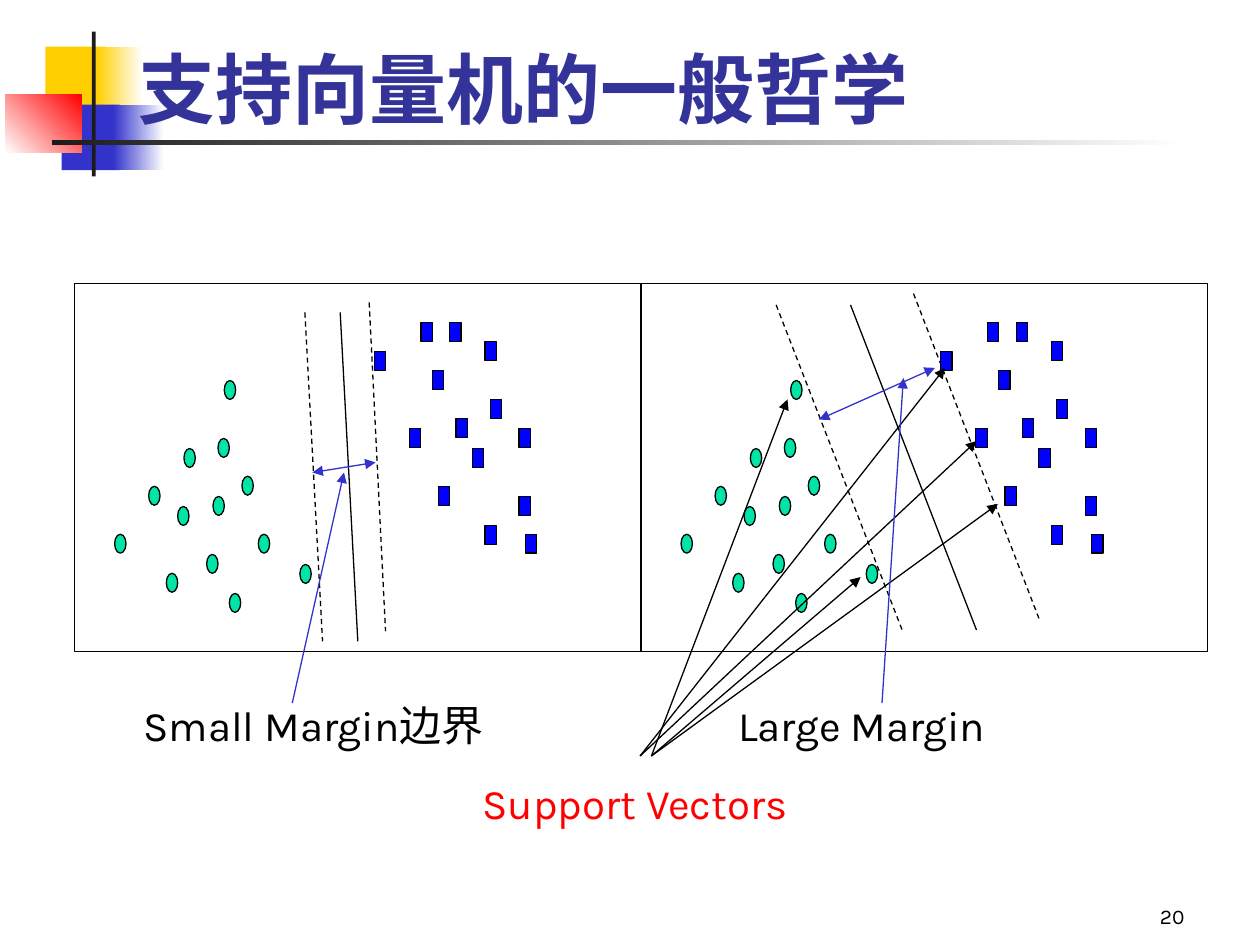
"""Build a slide comparing small and large margins of a support vector machine."""
from lxml.etree import SubElement
from pptx import Presentation
from pptx.dml.color import RGBColor
from pptx.enum.dml import MSO_LINE
from pptx.enum.shapes import MSO_CONNECTOR, MSO_SHAPE
from pptx.enum.text import MSO_ANCHOR, MSO_AUTO_SIZE, PP_ALIGN
from pptx.oxml.ns import qn
from pptx.util import Inches, Pt

BLACK = RGBColor(0x00, 0x00, 0x00)
WHITE = RGBColor(0xFF, 0xFF, 0xFF)
RED = RGBColor(0xFF, 0x00, 0x00)
YELLOW = RGBColor(0xFF, 0xCF, 0x01)
INDIGO = RGBColor(0x33, 0x33, 0xCC)
NAVY = RGBColor(0x33, 0x33, 0x99)
DARK = RGBColor(0x1C, 0x1C, 0x1C)
GREEN = RGBColor(0x00, 0xE4, 0xA8)
BLUE = RGBColor(0x00, 0x00, 0xFF)

prs = Presentation()
prs.slide_width, prs.slide_height = Inches(10), Inches(7.5)
s = prs.slides.add_slide(prs.slide_layouts[6])


def add_text(text, x, y, w, h, size=24, font="Karla", color=BLACK, bold=False,
             align=PP_ALIGN.LEFT, anchor=MSO_ANCHOR.TOP, wrap=False):
    tf = s.shapes.add_textbox(Inches(x), Inches(y), Inches(w), Inches(h)).text_frame
    tf.word_wrap = wrap
    tf.auto_size = MSO_AUTO_SIZE.NONE if wrap else MSO_AUTO_SIZE.SHAPE_TO_FIT_TEXT
    tf.vertical_anchor = anchor
    p = tf.paragraphs[0]
    p.alignment = align
    r = p.add_run()
    r.text = text
    r.font.size, r.font.name, r.font.bold = Pt(size), font, bold
    r.font.color.rgb = color


def add_line(x1, y1, x2, y2, color=BLACK, dash=False, ends=()):
    c = s.shapes.add_connector(MSO_CONNECTOR.STRAIGHT, Inches(x1), Inches(y1),
                               Inches(x2), Inches(y2))
    c.line.color.rgb = color
    c.line.width = Pt(0.75)
    if dash:
        c.line.dash_style = MSO_LINE.DASH
    spPr = c._element.spPr
    for end in ends:
        SubElement(spPr.find(qn("a:ln")), qn(f"a:{end}"), type="triangle")
    SubElement(spPr, qn("a:effectLst"))


decor = [
    (0.36, 0.37, 0.48, 0.52, YELLOW, None, 0),
    (0.77, 0.37, 0.36, 0.52, YELLOW, WHITE, 0),
    (0.49, 0.83, 0.46, 0.52, INDIGO, None, 0),
    (0.9, 0.83, 0.4, 0.52, INDIGO, WHITE, 0),
    (0.04, 0.75, 0.61, 0.46, WHITE, RED, 45),
    (0.73, 0.25, 0.03, 1.15, DARK, None, 0),
    (0.41, 1.11, 9, 0.04, DARK, WHITE, 0),
]
for x, y, w, h, start, stop, angle in decor:
    sp = s.shapes.add_shape(MSO_SHAPE.RECTANGLE, Inches(x), Inches(y), Inches(w), Inches(h))
    sp.shadow.inherit = False
    sp.line.fill.background()
    if stop is None:
        sp.fill.solid()
        sp.fill.fore_color.rgb = start
    else:
        sp.fill.gradient()
        sp.fill.gradient_angle = angle
        for gs, color in zip(sp.fill.gradient_stops, (start, stop)):
            gs.color.rgb = color

add_text("20", 7.42, 6.92, 2.08, 0.5, size=12, align=PP_ALIGN.RIGHT,
         anchor=MSO_ANCHOR.BOTTOM, wrap=True)
add_text("支持向量机的一般哲学", 1, 0.44, 9.42, 0.67, size=44, font="Times New Roman",
         color=NAVY, bold=True, anchor=MSO_ANCHOR.BOTTOM, wrap=True)

circles = [(1.32, 4.55), (1.41, 4.02), (0.91, 4.24), (1.18, 3.86), (1.64, 4.4),
           (1.46, 3.56), (1.69, 3.94), (1.73, 3.48), (1.92, 3.78), (2.05, 4.24),
           (1.82, 4.71), (2.38, 4.48), (1.78, 3.02)]
squares = [(3.25, 3.4), (2.97, 2.79), (3.34, 2.56), (3.48, 3.86), (3.43, 2.94),
           (3.62, 3.32), (3.57, 2.56), (3.85, 2.71), (3.75, 3.56), (3.89, 3.17),
           (3.85, 4.17), (4.12, 3.4), (4.12, 3.94), (4.17, 4.24)]
small_margin = [(2.93, 2.4, 3.06, 5.01, True), (2.42, 2.48, 2.56, 5.09, True),
                (2.7, 2.48, 2.84, 5.09, False)]
large_margin = [(6.16, 2.42, 7.16, 5, True), (7.25, 2.33, 8.25, 4.92, True),
                (6.75, 2.42, 7.75, 5, False)]

for dx, boundaries in ((0, small_margin), (4.495, large_margin)):
    marks = [(MSO_SHAPE.OVAL, x, y, 0.09, 0.15, GREEN) for x, y in circles]
    marks += [(MSO_SHAPE.RECTANGLE, x, y, 0.09, 0.15, BLUE) for x, y in squares]
    marks.append((MSO_SHAPE.RECTANGLE, 0.59, 2.25, 4.5, 2.92, None))
    for kind, x, y, w, h, color in marks:
        sp = s.shapes.add_shape(kind, Inches(x + dx), Inches(y), Inches(w), Inches(h))
        sp.shadow.inherit = False
        sp.line.color.rgb = BLACK
        sp.line.width = Pt(0.75)
        if color is None:
            sp.fill.background()
        else:
            sp.fill.solid()
            sp.fill.fore_color.rgb = color
    for x1, y1, x2, y2, dash in boundaries:
        add_line(x1, y1, x2, y2, dash=dash)

add_text("Support Vectors", 3.73, 6.12, 2.71, 0.5, color=RED)
for x1, x2, y2 in ((5.08, 7.5, 2.92), (5.08, 7.75, 3.5), (5.17, 7.92, 4),
                   (5.17, 6.83, 4.58), (5.17, 6.25, 3.17)):
    add_line(x1, 6, x2, y2, ends=["tailEnd"])

margins = [
    ("Small Margin边界", 1.04, 3.01, (2.48, 3.75, 2.98, 3.67), (2.32, 5.58, 2.73, 3.75)),
    ("Large Margin", 5.76, 2.3, (6.5, 3.33, 7.42, 2.92), (7, 5.58, 7.17, 3)),
]
for label, x, w, span, pointer in margins:
    add_text(label, x, 5.5, w, 0.5)
    add_line(*span, color=INDIGO, ends=["headEnd", "tailEnd"])
    add_line(*pointer, color=INDIGO, ends=["tailEnd"])

prs.save("out.pptx")
